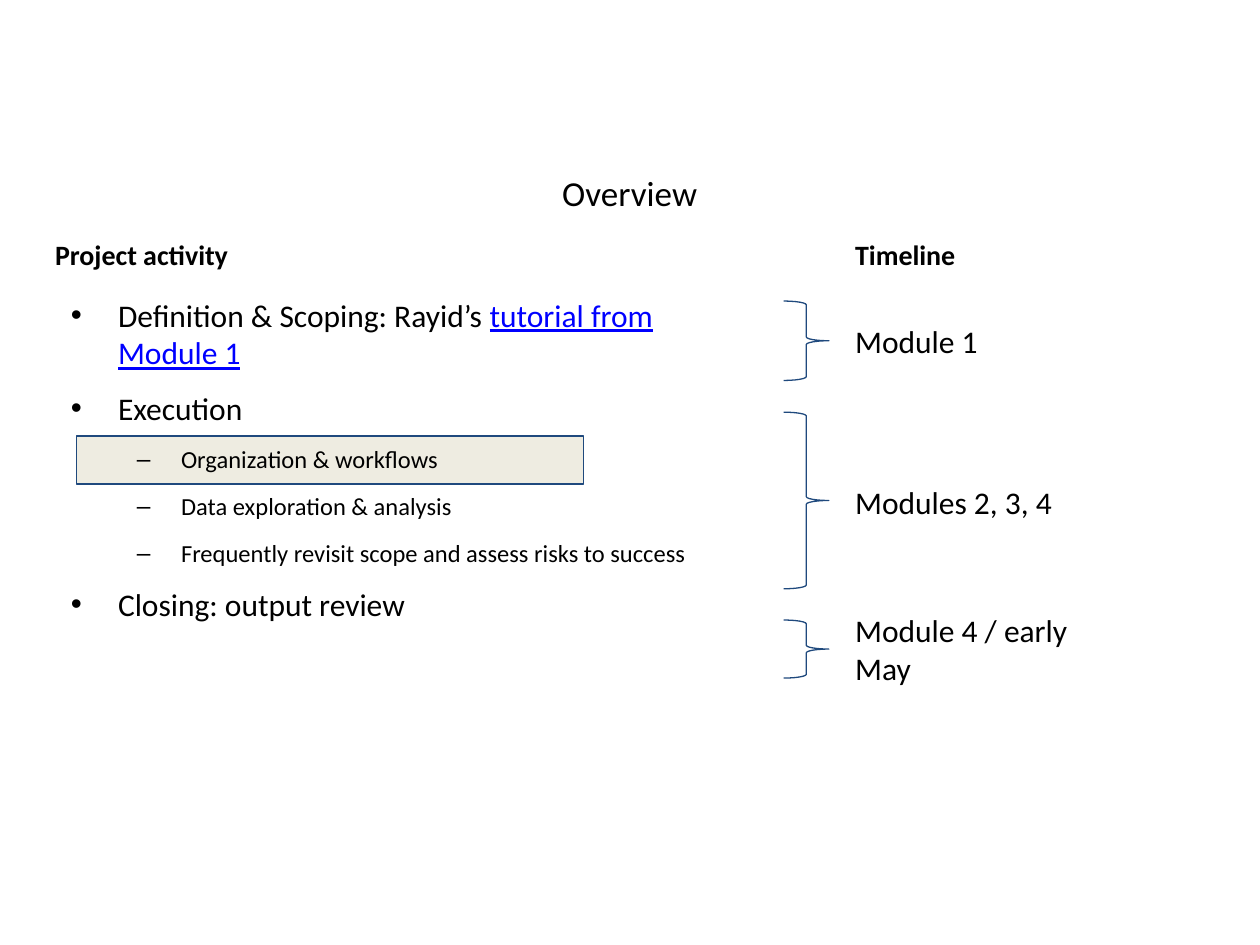
from lxml.etree import SubElement
from pptx import Presentation
from pptx.dml.color import RGBColor
from pptx.enum.shapes import MSO_SHAPE
from pptx.enum.text import MSO_ANCHOR, PP_ALIGN
from pptx.oxml.ns import qn
from pptx.util import Cm, Pt

COLOURS = {"text": "000000", "link": "0000FF", "line": "1F497D", "highlight": "EEECE1"}
LEFT, TIMELINE_LEFT, COLUMN_WIDTH = 0.86, 16.99, 5.49


def add_text(text, left, top, width, height, size=18, bold=False,
             align=PP_ALIGN.LEFT, anchor=MSO_ANCHOR.MIDDLE):
    """Add a text box, placed in centimetres, and return its text frame."""
    box = page.shapes.add_textbox(Cm(left), Cm(top), Cm(width), Cm(height))
    frame = box.text_frame
    frame.word_wrap = True
    frame.vertical_anchor = anchor
    frame.margin_left = frame.margin_right = Cm(0.25)
    frame.margin_top = frame.margin_bottom = Cm(0.25)
    if text:
        frame.paragraphs[0].alignment = align
        add_span(frame.paragraphs[0], text, size=size, bold=bold)
    return frame


def add_span(para, text, size=18, bold=False, colour="text", underline=False):
    span = para.add_run()
    span.text = text
    span.font.name = "Calibri"
    span.font.size = Pt(size)
    span.font.bold = bold
    span.font.underline = underline
    span.font.color.rgb = RGBColor.from_string(COLOURS[colour])


deck = Presentation()
deck.slide_width, deck.slide_height = Cm(25.4), Cm(19.05)
page = deck.slides.add_slide(deck.slide_layouts[6])

# Highlight behind the current topic, then the braces: kind, left, top, width, height
outlined = [
    (MSO_SHAPE.RECTANGLE, 1.55, 8.79, 10.21, 0.97),
    (MSO_SHAPE.RIGHT_BRACE, 15.8, 6.07, 0.91, 1.6),
    (MSO_SHAPE.RIGHT_BRACE, 15.8, 8.31, 0.91, 3.56),
    (MSO_SHAPE.RIGHT_BRACE, 15.8, 12.5, 0.91, 1.17),
]
for kind, *place in outlined:
    shape = page.shapes.add_shape(kind, *map(Cm, place))
    shape.shadow.inherit = False
    shape.line.color.rgb = RGBColor.from_string(COLOURS["line"])
    shape.line.width = Pt(0.75)
    if kind == MSO_SHAPE.RECTANGLE:
        shape.fill.solid()
        shape.fill.fore_color.rgb = RGBColor.from_string(COLOURS["highlight"])
    else:
        shape.fill.background()

add_text("Overview", LEFT, 3.2, 23.67, 1.6, size=20,
         align=PP_ALIGN.CENTER, anchor=MSO_ANCHOR.TOP)
for heading, left in [("Project activity", LEFT), ("Timeline", TIMELINE_LEFT)]:
    add_text(heading, left, 4.55, COLUMN_WIDTH, 1.17, size=16, bold=True)
for label, top in [("Module 1", 6.07), ("Modules 2, 3, 4", 9.32),
                   ("Module 4 / early May", 12.29)]:
    add_text(label, TIMELINE_LEFT, top, COLUMN_WIDTH, 1.6)

# Activities: level, text, linked text
activities = [
    (0, "Definition & Scoping: Rayid’s ", "tutorial from Module 1"),
    (0, "Execution", ""),
    (1, "Organization & workflows", ""),
    (1, "Data exploration & analysis", ""),
    (1, "Frequently revisit scope and assess risks to success", ""),
    (0, "Closing: output review", ""),
]
# Per level: bullet, size, left margin, first line indent
levels = [("•", 18, 1.27, -0.95), ("–", 14, 2.54, -0.89)]
frame = add_text("", LEFT, 5.71, 14.53, 9.5, anchor=MSO_ANCHOR.TOP)
for number, (level, text, linked) in enumerate(activities):
    bullet, size, margin, indent = levels[level]
    para = frame.add_paragraph() if number else frame.paragraphs[0]
    para.level = level
    para.space_after = Pt(10)
    properties = para._p.get_or_add_pPr()
    properties.set("marL", str(Cm(margin)))
    properties.set("indent", str(Cm(indent)))
    SubElement(properties, qn("a:buFont"), typeface="Arial")
    SubElement(properties, qn("a:buChar"), char=bullet)
    add_span(para, text, size=size)
    if linked:
        add_span(para, linked, size=size, colour="link", underline=True)

deck.save("out.pptx")
